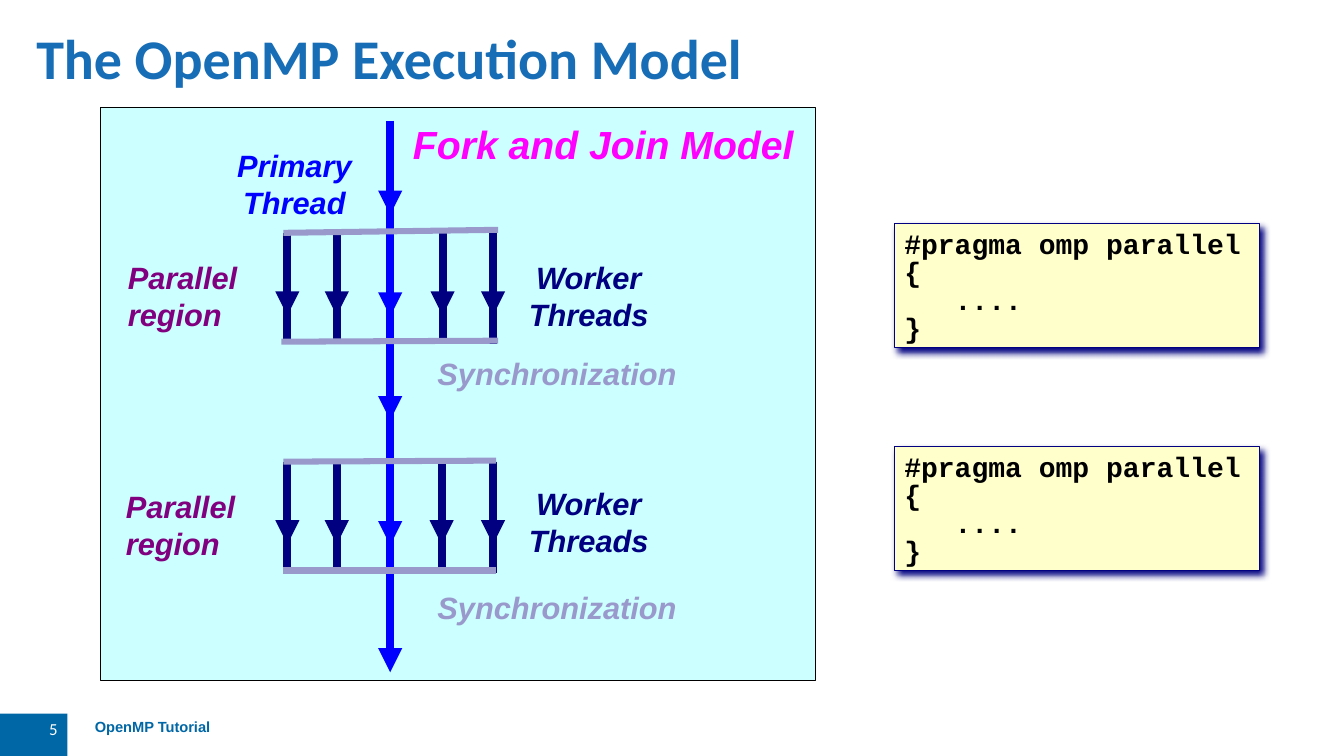
"""Build the slide on the OpenMP fork and join execution model."""
from dataclasses import dataclass

from lxml import etree
from pptx import Presentation
from pptx.dml.color import RGBColor
from pptx.enum.shapes import MSO_CONNECTOR, MSO_SHAPE
from pptx.enum.text import MSO_ANCHOR, PP_ALIGN
from pptx.oxml.ns import qn
from pptx.util import Pt

EMU_PER_PX = 9144
TITLE_ONLY = 5
STRAIGHT = MSO_CONNECTOR.STRAIGHT
RECTANGLE = MSO_SHAPE.RECTANGLE
ROUNDED = MSO_SHAPE.ROUNDED_RECTANGLE
LEFT, CENTER, RIGHT = PP_ALIGN.LEFT, PP_ALIGN.CENTER, PP_ALIGN.RIGHT
TOP, MIDDLE = MSO_ANCHOR.TOP, MSO_ANCHOR.MIDDLE


@dataclass(frozen=True)
class Theme:
    """Hold the colours, fonts and type sizes of the slide."""
    title: str = "176DB6"
    brand: str = "0067A6"
    white: str = "FFFFFF"
    black: str = "000000"
    panel: str = "CCFFFF"
    heading: str = "FF00FF"
    primary: str = "0000FF"
    worker: str = "000080"
    region: str = "800080"
    sync: str = "9999CC"
    code_fill: str = "FFFFCC"
    heading_font: str = "Calibri"
    body_font: str = "Arial"
    code_font: str = "Courier New"
    title_size: float = 40
    heading_size: float = 28
    label_size: float = 22
    code_size: float = 20
    number_size: float = 12
    footer_size: float = 10.5
    thread_width: float = 5.75
    sync_width: float = 4.31
    outline_width: float = 0.75


@dataclass(frozen=True)
class Region:
    """Describe the place of one parallel region."""
    top: int
    worker_xs: tuple
    fork: tuple
    join: tuple
    region_label: tuple
    worker_label: tuple
    code_top: int


THEME = Theme()
PRIMARY_X = 387
REGIONS = (
    Region(231, (285, 334, 439, 489), (281, 231, 494, 228), (279, 339, 494, 338),
           (117, 250), (507, 250), 222),
    Region(458, (285, 334, 438, 489), (281, 458, 492, 457), (281, 566, 492, 566),
           (115, 477), (507, 474), 443),
)
CODE = "#pragma omp parallel\n{\n....\n}"


def px(*lengths):
    """Turn whole pixels into EMU."""
    return [length * EMU_PER_PX for length in lengths]


def set_text(shape, text, font, size, color, align=LEFT, insets=(10, 7, 10, 5),
             anchor=TOP, bold=True, italic=False):
    """Write text into a shape and format every run."""
    frame = shape.text_frame
    frame.text = text
    frame.word_wrap = True
    frame.vertical_anchor = anchor
    (frame.margin_left, frame.margin_top,
     frame.margin_right, frame.margin_bottom) = px(*insets)
    for paragraph in frame.paragraphs:
        paragraph.alignment = align
        for run in paragraph.runs:
            run.font.name = font
            run.font.size = Pt(size)
            run.font.bold = bold
            run.font.italic = italic
            run.font.color.rgb = RGBColor.from_string(color)


def add_label(shapes, text, box, color, size=THEME.label_size, align=LEFT):
    """Add a bold italic label of the diagram."""
    label = shapes.add_textbox(*px(*box))
    set_text(label, text, THEME.body_font, size, color, align, italic=True)


def add_box(shapes, kind, box, fill, outline=None):
    """Add a filled shape without a shadow."""
    shape = shapes.add_shape(kind, *px(*box))
    shape.shadow.inherit = False
    shape.fill.solid()
    shape.fill.fore_color.rgb = RGBColor.from_string(fill)
    if outline:
        shape.line.color.rgb = RGBColor.from_string(outline)
        shape.line.width = Pt(THEME.outline_width)
    else:
        shape.line.fill.background()
    return shape


def add_line(shapes, ends, color, width=THEME.thread_width, arrow=False):
    """Add a straight line, with an arrowhead if asked."""
    line = shapes.add_connector(STRAIGHT, *px(*ends))
    line.line.color.rgb = RGBColor.from_string(color)
    line.line.width = Pt(width)
    properties = line._element.spPr
    if arrow:
        outline = properties.find(qn("a:ln"))
        etree.SubElement(outline, qn("a:tailEnd"), type="triangle")
    etree.SubElement(properties, qn("a:effectLst"))


def add_code(shapes, top):
    """Add a code box with an indented body and a soft shadow."""
    box = add_box(shapes, RECTANGLE, (887, top, 362, 123), THEME.code_fill, THEME.worker)
    set_text(box, CODE, THEME.code_font, THEME.code_size, THEME.black,
             insets=(10, 10, 10, 5), anchor=MIDDLE)
    for paragraph in box.text_frame.paragraphs:
        paragraph.line_spacing = 0.83
    body = box.text_frame.paragraphs[2]
    body._p.get_or_add_pPr().set("marL", str(px(50)[0]))
    effects = box._element.spPr.find(qn("a:effectLst"))
    shadow = etree.SubElement(effects, qn("a:outerShdw"), blurRad=str(Pt(5)),
                              dist=str(Pt(4.1)), dir="2700000", algn="ctr", rotWithShape="0")
    etree.SubElement(shadow, qn("a:srgbClr"), val=THEME.worker)


def add_region(slide, region):
    """Add a group of threads between fork and join, with its labels."""
    shapes = slide.shapes.add_group_shape().shapes
    top = region.top
    for x in region.worker_xs:
        add_line(shapes, (x, top, x, top + 82), THEME.worker, arrow=True)
        add_line(shapes, (x, top + 28, x, top + 110), THEME.worker)
    add_line(shapes, (PRIMARY_X, top, PRIMARY_X, top + 83), THEME.primary, arrow=True)
    for ends in (region.fork, region.join):
        add_line(shapes, ends, THEME.sync, THEME.sync_width)
    add_label(shapes, "Parallel region", (*region.region_label, 216, 71), THEME.region)
    add_label(shapes, "Worker\nThreads", (*region.worker_label, 154, 83),
              THEME.worker, align=CENTER)


def add_footer(shapes):
    """Add the slide number block and the footer text."""
    number = add_box(shapes, RECTANGLE, (0, 708, 67, 42), THEME.brand)
    set_text(number, "5", THEME.heading_font, THEME.number_size, THEME.white,
             RIGHT, (10, 5, 10, 5), bold=False)
    footer = shapes.add_textbox(*px(94, 712, 619, 30))
    set_text(footer, "OpenMP Tutorial", THEME.body_font, THEME.footer_size,
             THEME.brand, insets=(0, 0, 0, 0))


def main():
    """Build and save the presentation."""
    presentation = Presentation()
    presentation.slide_width, presentation.slide_height = px(1333, 750)
    slide = presentation.slides.add_slide(presentation.slide_layouts[TITLE_ONLY])
    shapes = slide.shapes

    title = shapes.title
    title.left, title.top, title.width, title.height = px(26, 21, 1060, 71)
    set_text(title, "The OpenMP Execution Model", THEME.heading_font, THEME.title_size,
             THEME.title, insets=(10, 5, 10, 5), anchor=MIDDLE)
    add_footer(shapes)

    panel = add_box(shapes, ROUNDED, (100, 107, 709, 568), THEME.panel, THEME.black)
    panel.adjustments[0] = 0
    add_label(shapes, "Fork and Join Model", (396, 112, 401, 97), THEME.heading,
              THEME.heading_size, RIGHT)
    add_label(shapes, "Primary\nThread", (215, 139, 154, 83), THEME.primary, align=CENTER)
    for start, end in ((120, 667), (323, 417), (120, 213)):
        add_line(shapes, (PRIMARY_X, start, PRIMARY_X, end), THEME.primary, arrow=True)
    for region in REGIONS:
        add_region(slide, region)
    for top in (345, 577):
        add_label(shapes, "Synchronization", (424, top, 261, 47), THEME.sync)
    for region in REGIONS:
        add_code(shapes, region.code_top)
    presentation.save("out.pptx")


if __name__ == "__main__":
    main()
